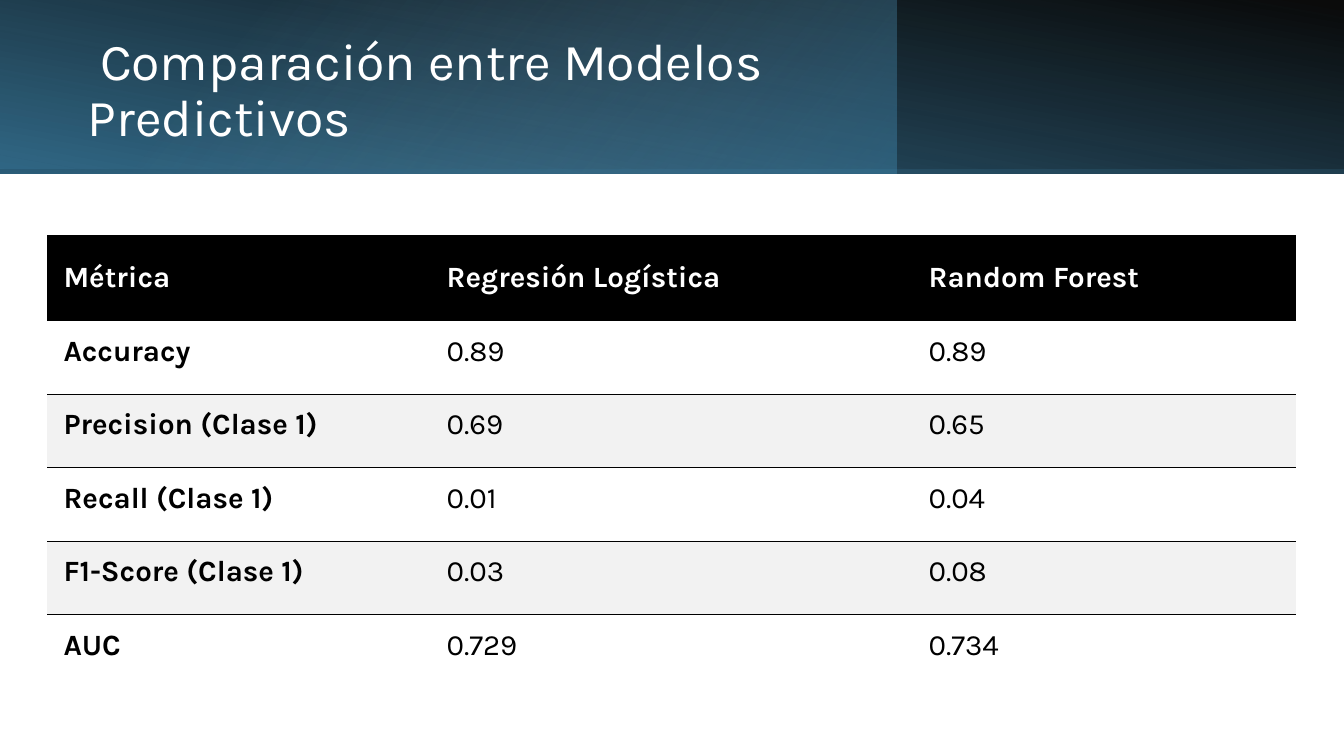
"""Build a slide comparing the metrics of two predictive models."""
from lxml.etree import SubElement
from pptx import Presentation
from pptx.dml.color import RGBColor
from pptx.enum.shapes import MSO_SHAPE
from pptx.enum.text import MSO_ANCHOR
from pptx.oxml import parse_xml
from pptx.oxml.ns import nsdecls, qn
from pptx.util import Inches, Pt

BLACK = RGBColor(0x00, 0x00, 0x00)
WHITE = RGBColor(0xFF, 0xFF, 0xFF)
GREY = RGBColor(0xF2, 0xF2, 0xF2)
BLUE = RGBColor(0x41, 0x8A, 0xB3)
DARK_BLUE = RGBColor(0x31, 0x68, 0x86)
LIGHT_BLUE = RGBColor(0x8A, 0xBA, 0xD4)
FONT = "Karla"
NO_STYLE = "{2D5ABB26-0587-4C30-8999-92F81FD0307C}"

BANDS = [
    (13.33, 180, True, 100, [(0, BLACK, 96), (1, DARK_BLUE, 100)]),
    (8.89, 0, False, 140, [(0, BLUE, 41), (0.74, LIGHT_BLUE, 0)]),
    (13.33, 0, True, 260, [(0, BLACK, 63), (0.78, BLUE, 15)]),
]
ROWS = [
    ("Métrica", "Regresión Logística", "Random Forest"),
    ("Accuracy", "0.89", "0.89"),
    ("Precision (Clase 1)", "0.69", "0.65"),
    ("Recall (Clase 1)", "0.01", "0.04"),
    ("F1-Score (Clase 1)", "0.03", "0.08"),
    ("AUC", "0.729", "0.734"),
]
COL_WIDTHS = [3.8, 4.78, 3.8]
ROW_HEIGHTS = [0.85] + [0.73] * 5


def add_border(cell, side):
    line = parse_xml(
        f'<a:{side} {nsdecls("a")} w="12700"><a:solidFill>'
        f'<a:srgbClr val="{BLACK}"/></a:solidFill></a:{side}>')
    cell._tc.get_or_add_tcPr().insert(0, line)


prs = Presentation()
prs.slide_width, prs.slide_height = Inches(13.33), Inches(7.5)
s = prs.slides.add_slide(prs.slide_layouts[5])
title = s.shapes.title

for width, rotation, flipped, angle, stops in BANDS:
    sp = s.shapes.add_shape(MSO_SHAPE.RECTANGLE, 0, 0, Inches(width), Inches(1.72))
    sp.shadow.inherit = False
    sp.line.fill.background()
    sp.rotation = rotation
    if flipped:
        sp._element.spPr.xfrm.set("flipH", "1")
    sp.fill.gradient()
    sp.fill.gradient_angle = angle
    for stop, (position, color, opacity) in zip(sp.fill.gradient_stops, stops):
        stop.position = position
        stop.color.rgb = color
    for clr, (_, _, opacity) in zip(sp._element.spPr.iter(qn("a:srgbClr")), stops):
        SubElement(clr, qn("a:alpha")).set("val", str(opacity * 1000))
    title._element.addprevious(sp._element)

title.left, title.top = Inches(0.77), Inches(0.27)
title.width, title.height = Inches(7.72), Inches(1.27)
tf = title.text_frame
tf.text = " Comparación entre Modelos Predictivos"
tf.word_wrap = True
tf.vertical_anchor = MSO_ANCHOR.MIDDLE
p = tf.paragraphs[0]
p.alignment = 1
p.line_spacing = 0.9
p.font.name, p.font.size, p.font.color.rgb = FONT, Pt(37), WHITE

frame = s.shapes.add_table(len(ROWS), len(COL_WIDTHS), Inches(0.47), Inches(2.33),
                           Inches(sum(COL_WIDTHS)), Inches(sum(ROW_HEIGHTS)))
table = frame.table
table.horz_banding = False
table._tbl.tblPr.find(qn("a:tableStyleId")).text = NO_STYLE
for column, width in zip(table.columns, COL_WIDTHS):
    column.width = Inches(width)

for i, (row, height, texts) in enumerate(zip(table.rows, ROW_HEIGHTS, ROWS)):
    row.height = Inches(height)
    header = i == 0
    shaded = i in (2, 4)
    for j, (cell, text) in enumerate(zip(row.cells, texts)):
        cell.text = text
        cell.vertical_anchor = MSO_ANCHOR.MIDDLE
        cell.margin_left, cell.margin_right = Inches(0.16), Inches(0.11)
        cell.margin_top = Inches(0.23 if header else 0.11)
        cell.margin_bottom = Inches(0.23)
        if header or shaded:
            cell.fill.solid()
            cell.fill.fore_color.rgb = BLACK if header else GREY
        else:
            cell.fill.background()
        if shaded:
            add_border(cell, "lnT")
        elif i in (1, 3):
            add_border(cell, "lnB")
        p = cell.text_frame.paragraphs[0]
        p.font.name, p.font.size = FONT, Pt(21)
        p.font.bold = header or j == 0
        p.font.color.rgb = WHITE if header else BLACK

prs.save("out.pptx")
